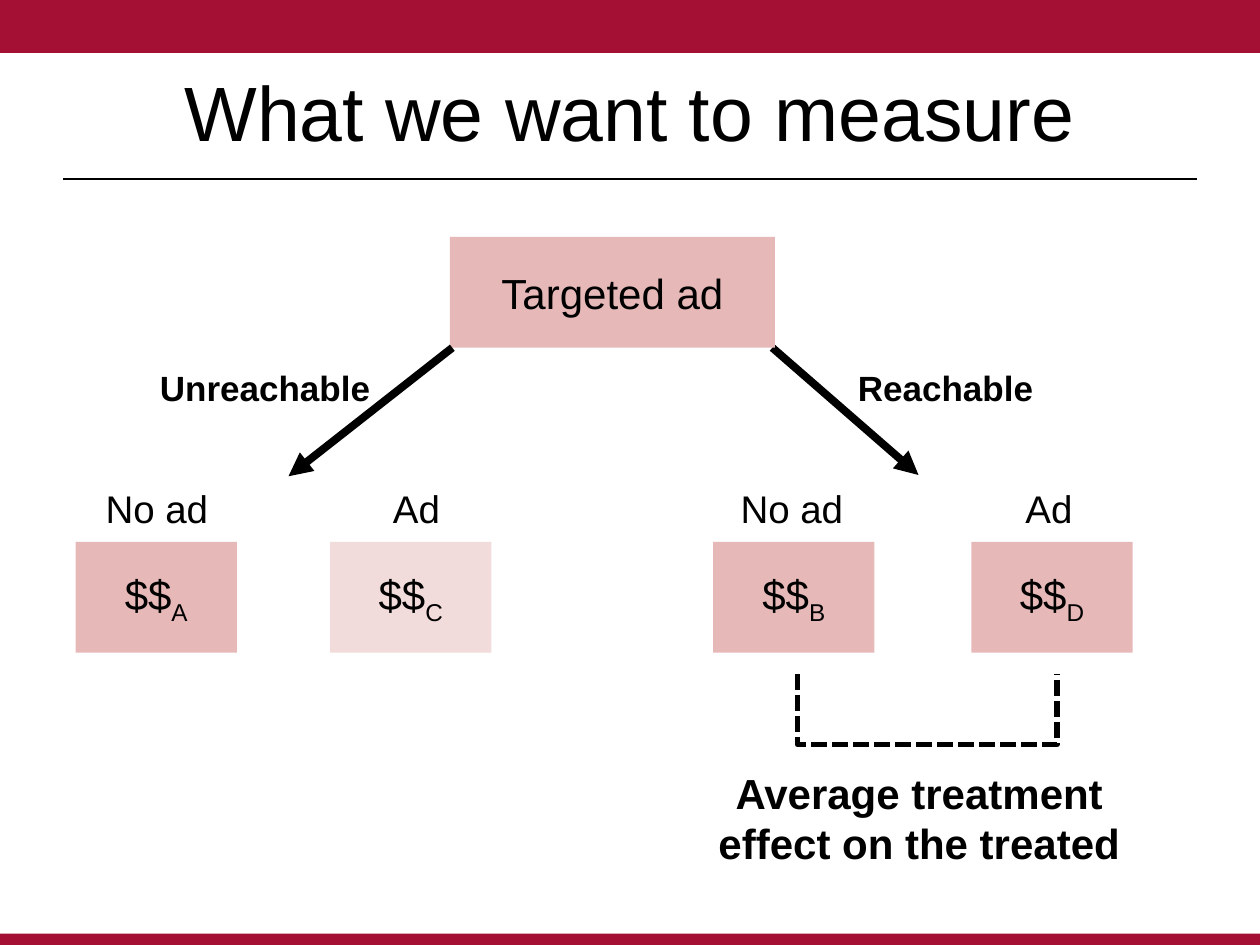
import pptx
import pptx.util
import pptx.dml.color
import pptx.enum.dml
import pptx.enum.shapes
import pptx.enum.text
import pptx.oxml.ns
from lxml import etree

Inches = pptx.util.Inches
Pt = pptx.util.Pt
ALIGN = pptx.enum.text.PP_ALIGN
ANCHOR = pptx.enum.text.MSO_ANCHOR
qn = pptx.oxml.ns.qn

CRIMSON, ROSE, PALE, BLACK = "A41034", "E6B9B8", "F2DCDB", "000000"


def color(hex_string):
    return pptx.dml.color.RGBColor.from_string(hex_string)


def add_text(p, text, size=24, bold=False, subscript=False, font="Arial", fill=BLACK):
    r = p.add_run()
    r.text = text
    r.font.name = font
    r.font.size = Pt(size)
    r.font.bold = bold
    r.font.color.rgb = color(fill)
    if subscript:
        r._r.get_or_add_rPr().set("baseline", "-25000")


class Deck:
    """Holds the drawing style and the current slide."""

    def __init__(self, slide):
        self.s = slide

    def box(self, x, y, w, h, fill, text="", subscript=""):
        sp = self.s.shapes.add_shape(
            pptx.enum.shapes.MSO_SHAPE.RECTANGLE, Inches(x), Inches(y), Inches(w), Inches(h))
        sp.shadow.inherit = False
        sp.fill.solid()
        sp.fill.fore_color.rgb = color(fill)
        sp.line.fill.background()
        if text:
            tf = sp.text_frame
            tf.margin_left = tf.margin_right = tf.margin_top = tf.margin_bottom = Inches(0.1)
            tf.vertical_anchor = ANCHOR.MIDDLE
            p = tf.paragraphs[0]
            p.alignment = ALIGN.CENTER
            add_text(p, text)
            if subscript:
                add_text(p, subscript, subscript=True)
        return sp

    def text(self, x, y, w, h, text, wrap=False, align=ALIGN.LEFT, anchor=ANCHOR.TOP,
             grow=True, **style):
        sp = self.s.shapes.add_textbox(Inches(x), Inches(y), Inches(w), Inches(h))
        tf = sp.text_frame
        tf.word_wrap = wrap
        tf.vertical_anchor = anchor
        if grow:
            tf.auto_size = pptx.enum.text.MSO_AUTO_SIZE.SHAPE_TO_FIT_TEXT
        p = tf.paragraphs[0]
        p.alignment = align
        add_text(p, text, **style)

    def line(self, x1, y1, x2, y2, width, arrow=False):
        c = self.s.shapes.add_connector(
            pptx.enum.shapes.MSO_CONNECTOR.STRAIGHT,
            Inches(x1), Inches(y1), Inches(x2), Inches(y2))
        c.line.color.rgb = color(BLACK)
        c.line.width = Pt(width)
        if arrow:
            etree.SubElement(c.line._get_or_add_ln(), qn("a:tailEnd"), type="triangle")
        etree.SubElement(c._element.spPr, qn("a:effectLst"))

    def bracket(self, left, top, right, bottom, width):
        fb = self.s.shapes.build_freeform(Inches(left), Inches(top))
        corners = [(left, bottom), (right, bottom), (right, top)]
        fb.add_line_segments([(Inches(x), Inches(y)) for x, y in corners], close=False)
        sp = fb.convert_to_shape()
        sp.shadow.inherit = False
        sp.fill.background()
        sp.line.color.rgb = color(BLACK)
        sp.line.width = Pt(width)
        sp.line.dash_style = pptx.enum.dml.MSO_LINE.SQUARE_DOT
        sp.line._get_or_add_ln().find(qn("a:prstDash")).set("val", "sysDash")


def main():
    prs = pptx.Presentation()
    prs.slide_width, prs.slide_height = Inches(10), Inches(7.5)
    d = Deck(prs.slides.add_slide(prs.slide_layouts[6]))

    # Frame and title
    d.box(0, 0, 10, 0.42, CRIMSON)
    d.box(0, 7.41, 10, 0.09, CRIMSON)
    d.line(0.5, 1.42, 9.5, 1.42, 1.25)
    d.text(0.5, 0.25, 9, 1.25, "What we want to measure", wrap=True, grow=False,
           align=ALIGN.CENTER, anchor=ANCHOR.MIDDLE, size=44)

    # Root of the tree and its two branches
    d.line(6.13, 2.76, 7.29, 3.77, 4.5, arrow=True)
    d.box(3.57, 1.88, 2.58, 0.88, ROSE, "Targeted ad")
    d.line(3.59, 2.76, 2.29, 3.78, 4.5, arrow=True)
    d.text(1.17, 2.86, 1.89, 0.44, "Unreachable", size=20, bold=True)
    d.text(6.71, 2.86, 1.61, 0.44, "Reachable", size=20, bold=True)

    # Outcomes: box left, fill, subscript, label left, label width, label
    outcomes = [
        (0.6, ROSE, "A", 0.74, 1.03, "No ad"),
        (2.62, PALE, "C", 3.02, 0.58, "Ad"),
        (5.66, ROSE, "B", 5.78, 1.03, "No ad"),
        (7.71, ROSE, "D", 8.04, 0.58, "Ad"),
    ]
    for x, fill, group, label_x, label_w, label in outcomes:
        d.box(x, 4.3, 1.28, 0.88, fill, "$$", group)
        d.text(label_x, 3.8, label_w, 0.47, label, size=22)

    # Comparison of the reachable outcomes
    d.bracket(6.33, 5.35, 8.39, 5.91, 3)
    d.text(5.27, 6.04, 4.05, 0.91, "Average treatment effect on the treated",
           wrap=True, align=ALIGN.CENTER, bold=True)

    prs.save("out.pptx")


if __name__ == "__main__":
    main()
